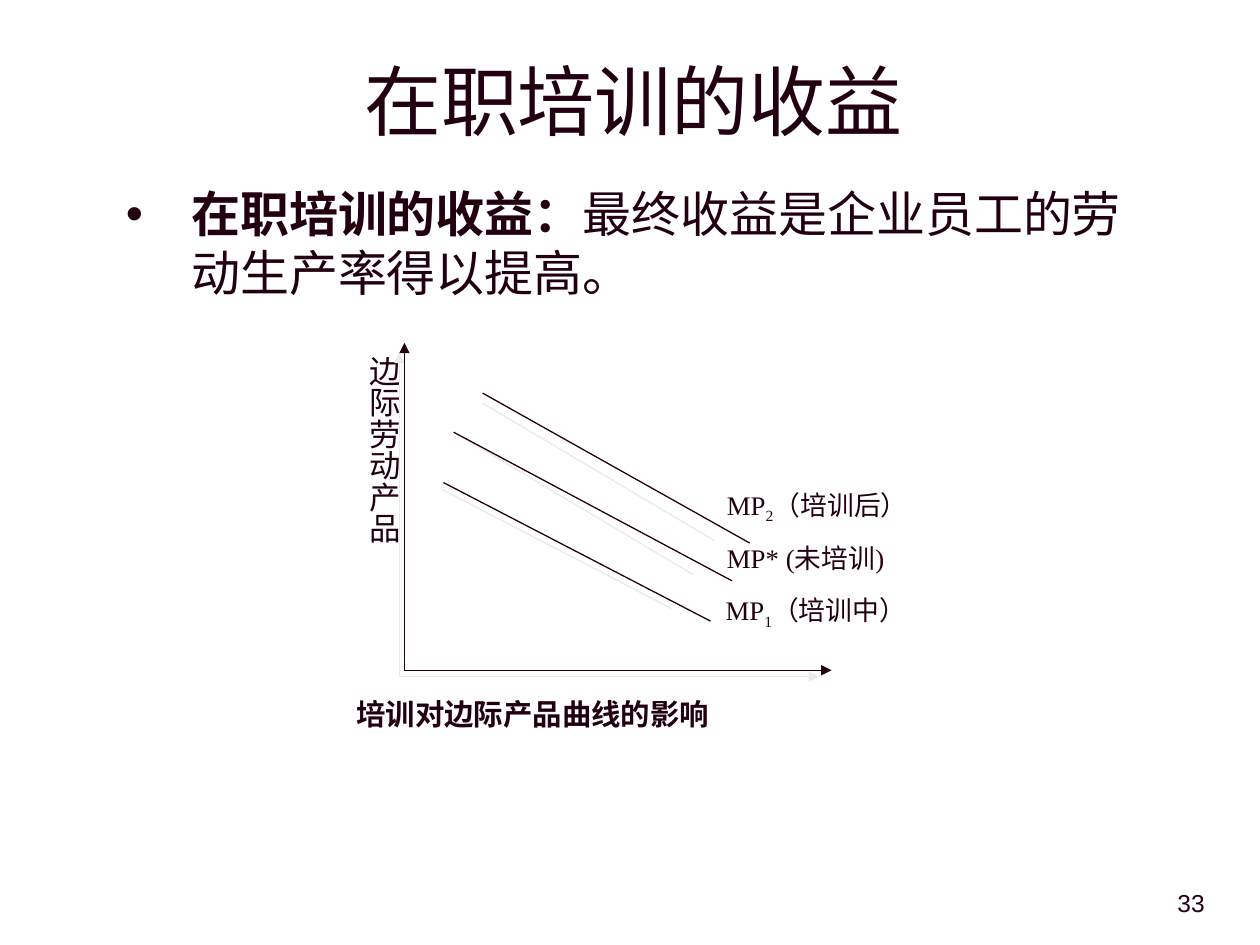
from pptx import Presentation
from pptx.dml.color import RGBColor as Rgb
from pptx.enum.shapes import MSO_CONNECTOR as Conn
from pptx.enum.text import MSO_ANCHOR as Anchor, PP_ALIGN as Align
from pptx.oxml.ns import qn
from pptx.util import Inches, Pt
from lxml.etree import SubElement as Sub

COLORS = {"ink": "220011", "shade": "EAEAEA"}
CJK, SERIF, SANS = "Noto Sans CJK SC", "Times New Roman", "Arial"


def put(shape, runs, size, font=SERIF, align=Align.JUSTIFY, space=None,
        anchor=Anchor.TOP, inset=(0.1, 0.05)):
    """Fill a shape with one paragraph of (text, bold, baseline) runs."""
    frame = shape.text_frame
    frame.word_wrap, frame.vertical_anchor = True, anchor
    frame.margin_left = frame.margin_right = Inches(inset[0])
    frame.margin_top = frame.margin_bottom = Inches(inset[1])
    par = frame.paragraphs[0]
    par.alignment, par.line_spacing = align, space
    for text, bold, base in runs:
        run = par.add_run()
        run.text = text
        run.font.size, run.font.name, run.font.bold = Pt(size), font, bold
        run.font.color.rgb = Rgb.from_string(COLORS["ink"])
        props = run.font._element
        Sub(props, qn("a:ea")).set("typeface", CJK)
        if base:
            props.set("baseline", str(base * 1000))
    return par


def box(slide, at, runs, size, **style):
    shape = slide.shapes.add_textbox(*map(Inches, at))
    return shape, put(shape, runs, size, **style)


def bullet(par, indent):
    props = par._p.get_or_add_pPr()
    props.set("marL", str(Inches(indent)))
    props.set("indent", str(-Inches(indent)))
    Sub(props, qn("a:buFont")).set("typeface", SANS)
    Sub(props, qn("a:buChar")).set("char", "•")


def line(slide, ends, color, arrow=False):
    link = slide.shapes.add_connector(Conn.STRAIGHT, *map(Inches, ends))
    link.line.width = Pt(0.74)
    link.line.color.rgb = Rgb.from_string(COLORS[color])
    Sub(link._element.spPr, qn("a:effectLst"))
    if arrow:
        Sub(link.line._get_or_add_ln(), qn("a:tailEnd")).set("type", "triangle")


def main():
    deck = Presentation()
    deck.slide_width, deck.slide_height = Inches(10), Inches(7.5)
    slide = deck.slides.add_slide(deck.slide_layouts[5])

    # Title and statement
    title = slide.shapes.title
    title.left, title.top, title.width, title.height = map(
        Inches, (0.53, 0.25, 9, 1.08))
    put(title, [("在职培训的收益", False, 0)], 44, font=CJK,
        align=Align.CENTER, anchor=Anchor.MIDDLE)
    _, par = box(slide, (0.9, 1.41, 8.17, 4.9),
                 [("在职培训的收益：", True, 0),
                  ("最终收益是企业员工的劳动生产率得以提高。", False, 0)],
                 28, font=CJK, align=Align.LEFT, space=Pt(33.7))
    bullet(par, 0.52)

    # Axis label, curve labels and caption
    axis, _ = box(slide, (2.58, 2.72, 0.67, 1.72),
                  [("边际劳动产品", False, 0)], 18, inset=(0.05, 0.1))
    axis.text_frame._txBody.bodyPr.set("vert", "eaVert")
    labels = [
        (5.67, 3.83, [("MP", False, 0), ("2", False, -25), ("（培训后）", False, 0)]),
        (5.67, 4.28, [("MP* (未培训)", False, 0)]),
        (5.66, 4.67, [("MP", False, 0), ("1", False, -25), ("（培训中）", False, 0)]),
    ]
    for left, top, runs in labels:
        box(slide, (left, top, 1.99, 0.41), runs, 15.3, space=0.9)
    box(slide, (2.73, 5.53, 4.3, 0.41),
        [("培训对边际产品曲线的影响", True, 0)], 16.8, space=0.8)

    # Axes and curves, the pale set behind the dark one
    axes = {"shade": [(3.17, 5.37, 6.5, 5.37), (3.17, 5.37, 3.17, 2.8)],
            "ink": [(3.21, 5.32, 3.21, 2.72), (3.21, 5.32, 6.6, 5.32)]}
    curves = {"shade": [(3.5, 3.88, 5.33, 4.83), (3.67, 3.47, 5.5, 4.56),
                        (3.83, 3.2, 5.67, 4.29)],
              "ink": [(3.52, 3.83, 5.64, 4.93), (3.6, 3.43, 5.81, 4.61),
                      (3.83, 3.12, 5.95, 4.31)]}
    for color in axes:
        for ends in axes[color]:
            line(slide, ends, color, arrow=True)
        for ends in curves[color]:
            line(slide, ends, color)

    # Page number
    box(slide, (7.58, 7, 2.08, 0.5), [("33", False, 0)], 14, font=SANS,
        align=Align.RIGHT)
    deck.save("out.pptx")


main()
